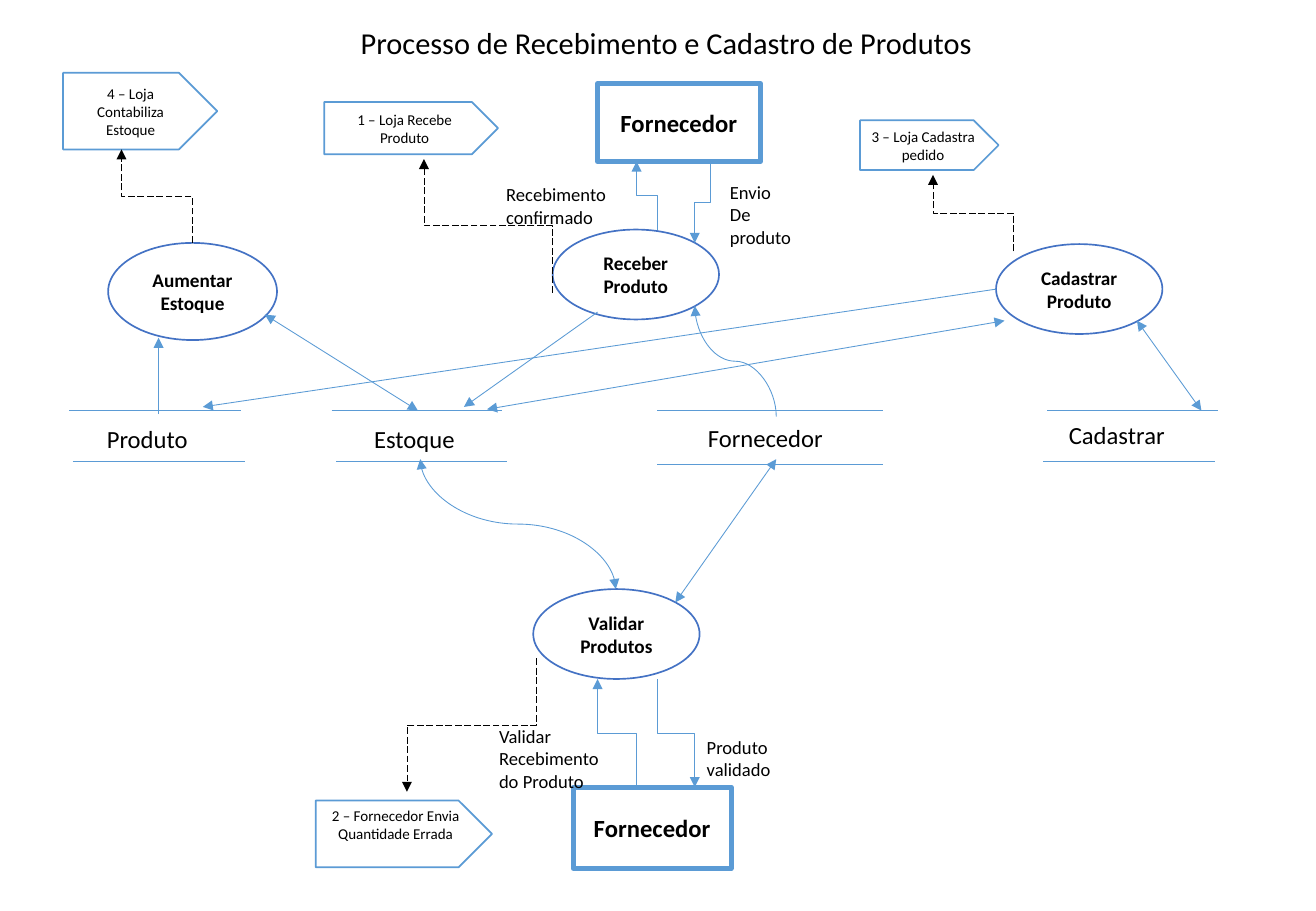
from pptx import Presentation
from pptx.util import Pt
from pptx.dml.color import RGBColor
from pptx.enum.shapes import MSO_SHAPE as SHAPE, MSO_CONNECTOR as CONN
from pptx.enum.dml import MSO_LINE
from pptx.enum.text import PP_ALIGN as ALIGN, MSO_ANCHOR as ANCHOR
from pptx.oxml.ns import qn
from lxml.etree import SubElement

FONT, BLACK, WHITE, BLUE, INDIGO = "Calibri", "000000", "FFFFFF", "5B9BD5", "4472C4"
TITLE = "Processo de Recebimento e Cadastro de Produtos"

# kind: preset, line colour, line width, text size, bold
STYLES = {
    "entity": (SHAPE.RECTANGLE, BLUE, 3, 14.6, True),
    "process": (SHAPE.OVAL, INDIGO, 1, 11.4, True),
    "step": (SHAPE.PENTAGON, BLUE, 1, 8.9, False),
}
# kind, paragraphs, (left, top, width, height), bottom inset
NODES = [
    ("entity", ["Fornecedor"], (354.2, 49.7, 96.5, 46.1), 3),
    ("entity", ["Fornecedor"], (339.8, 466.6, 93.6, 48.2), 3),
    ("process", ["Aumentar", "Estoque"], (64.1, 144, 100.1, 57.6), 3),
    ("process", ["Receber", "Produto"], (327.6, 136.1, 98.6, 53.3), 3),
    ("process", ["Cadastrar", "Produto"], (590.4, 144.7, 98.6, 53.3), 3),
    ("process", ["Validar Produtos"], (316.1, 349.2, 98.6, 53.3), 3),
    ("step", ["1 – Loja Recebe Produto"], (192.2, 60.5, 103, 31), 3),
    ("step", ["2 – Fornecedor Envia Quantidade Errada"], (187.2, 474.5, 104.4, 39.6), 14),
    ("step", ["3 – Loja Cadastra pedido"], (509.8, 71.3, 82.1, 29.5), 3),
    ("step", ["4 – Loja Contabiliza Estoque"], (37.4, 43.2, 91.4, 45.4), 3),
]
# name, text (left, top, width), left of top rule, left of bottom rule, rule length, bottom y
STORE_TOP = 243.4
STORES = [
    ("Produto", (56.2, 247.7, 75.6), 41, 43.2, 102, 273.6),
    ("Estoque", (214.6, 247.7, 68.4), 196.6, 199.4, 101.2, 273.6),
    ("Fornecedor", (412.4, 247, 118), 389.5, 389.5, 134, 275.4),
    ("Cadastrar", (626.4, 245.5, 85.7), 620.6, 618.5, 101.5, 273.6),
]
# paragraphs, (left, top, width)
LABELS = [
    (["Envio", "De produto"], (425.5, 103.7, 64.1)),
    (["Recebimento confirmado"], (293, 105.1, 103.7)),
    (["Produto validado"], (411.8, 432.7, 67)),
    (["Validar Recebimento", "do Produto"], (288.7, 426.2, 88.6)),
]
# start, end of the dashed links from processes to steps
STEP_LINKS = [
    ((113.8, 144), (72, 88.6)),
    ((327.6, 173.5), (251.3, 94.3)),
    ((600.5, 149), (553, 103.7)),
    ((318.2, 390.2), (241.2, 469.4)),
]
# route, start, end, arrow at both ends
FLOWS = [
    (CONN.ELBOW, (421.2, 96.5), (411.8, 144), False),
    (CONN.ELBOW, (389.5, 136.1), (377.3, 95.8), False),
    (CONN.ELBOW, (389.5, 402.5), (411.8, 466.6), False),
    (CONN.ELBOW, (377.3, 466.6), (354.2, 402.5), False),
    (CONN.CURVE, (365, 349.2), (249.1, 272.2), True),
    (CONN.CURVE, (460.1, 247), (411.8, 181.4), False),
    (CONN.STRAIGHT, (94, 245.5), (94, 200.2), False),
    (CONN.STRAIGHT, (157, 186.5), (247.7, 243.4), True),
    (CONN.STRAIGHT, (354.2, 185), (275, 241.2), False),
    (CONN.STRAIGHT, (712.1, 243.4), (673.9, 190.1), True),
    (CONN.STRAIGHT, (288.7, 242.6), (595.4, 190.1), True),
    (CONN.STRAIGHT, (460.1, 272.2), (400.3, 357.1), True),
    (CONN.STRAIGHT, (590.4, 171.4), (120.2, 241.2), False),
]


def rgb(color):
    """Turn a hex string into a colour."""
    return RGBColor.from_string(color)


def write(tf, paragraphs, size, bold=False, align=ALIGN.LEFT):
    """Write paragraphs of one run each into a wrapping text frame."""
    tf.word_wrap = True
    for i, text in enumerate(paragraphs):
        p = tf.add_paragraph() if i else tf.paragraphs[0]
        p.alignment = align
        r = p.add_run()
        r.text = text
        r.font.name, r.font.size, r.font.bold = FONT, Pt(size), bold
        r.font.color.rgb = rgb(BLACK)


def add_node(s, kind, paragraphs, box, bottom):
    """Add an entity, process or step with centred text."""
    preset, color, width, size, bold = STYLES[kind]
    sp = s.shapes.add_shape(preset, *map(Pt, box))
    sp.shadow.inherit = False
    sp.fill.solid()
    sp.fill.fore_color.rgb = rgb(WHITE)
    sp.line.color.rgb, sp.line.width = rgb(color), Pt(width)
    tf = sp.text_frame
    tf.vertical_anchor = ANCHOR.MIDDLE
    tf.margin_left = tf.margin_right = Pt(6)
    tf.margin_top, tf.margin_bottom = Pt(3), Pt(bottom)
    write(tf, paragraphs, size, bold, ALIGN.CENTER)


def add_text(s, paragraphs, place, size):
    """Add a text box at (left, top, width)."""
    height = 1.2 * size * len(paragraphs) + 7.2
    sp = s.shapes.add_textbox(*map(Pt, (*place, height)))
    write(sp.text_frame, paragraphs, size)


def upright_frame(start, end):
    """Give the unturned ends and the turn of a link that leaves vertically."""
    (x1, y1), (x2, y2) = start, end
    cx, cy = (x1 + x2) / 2, (y1 + y2) / 2
    w, h = abs(y2 - y1) / 2, abs(x2 - x1) / 2
    down, right = y2 > y1, x2 > x1
    if down and right:
        w = -w
    elif not down and not right:
        h = -h
    turn = 90 if down and not right else 270
    return (cx - w, cy - h), (cx + w, cy + h), turn


def add_link(s, route, start, end, heads=(), color=BLUE, dashed=False):
    """Add a connector with arrowheads at the named ends."""
    turn = 0
    if route != CONN.STRAIGHT:
        start, end, turn = upright_frame(start, end)
    sp = s.shapes.add_connector(route, *map(Pt, (*start, *end)))
    props = sp._element.spPr
    if turn:
        props.find(qn("a:xfrm")).set("rot", str(turn * 60000))
    sp.line.color.rgb, sp.line.width = rgb(color), Pt(0.5)
    if dashed:
        sp.line.dash_style = MSO_LINE.LONG_DASH
    for head in heads:
        SubElement(props.find(qn("a:ln")), qn(f"a:{head}"), type="triangle")
    SubElement(props, qn("a:effectLst"))


prs = Presentation()
prs.slide_width, prs.slide_height = Pt(780), Pt(540)
s = prs.slides.add_slide(prs.slide_layouts[5])

title = s.shapes.title
title.left, title.top, title.width, title.height = map(Pt, (206.6, 10.8, 440, 51))
title.text_frame.vertical_anchor = ANCHOR.TOP
write(title.text_frame, [TITLE], 18)

for node in NODES:
    add_node(s, *node)
for name, place, top_x, bottom_x, length, bottom_y in STORES:
    for x, y in ((top_x, STORE_TOP), (bottom_x, bottom_y)):
        add_link(s, CONN.STRAIGHT, (x, y), (x + length, y))
    add_text(s, [name], place, 14.6)
for start, end in STEP_LINKS:
    add_link(s, CONN.ELBOW, start, end, ["tailEnd"], BLACK, True)
for route, start, end, both in FLOWS:
    add_link(s, route, start, end, ["headEnd", "tailEnd"] if both else ["tailEnd"])
for paragraphs, place in LABELS:
    add_text(s, paragraphs, place, 11)

prs.save("out.pptx")
